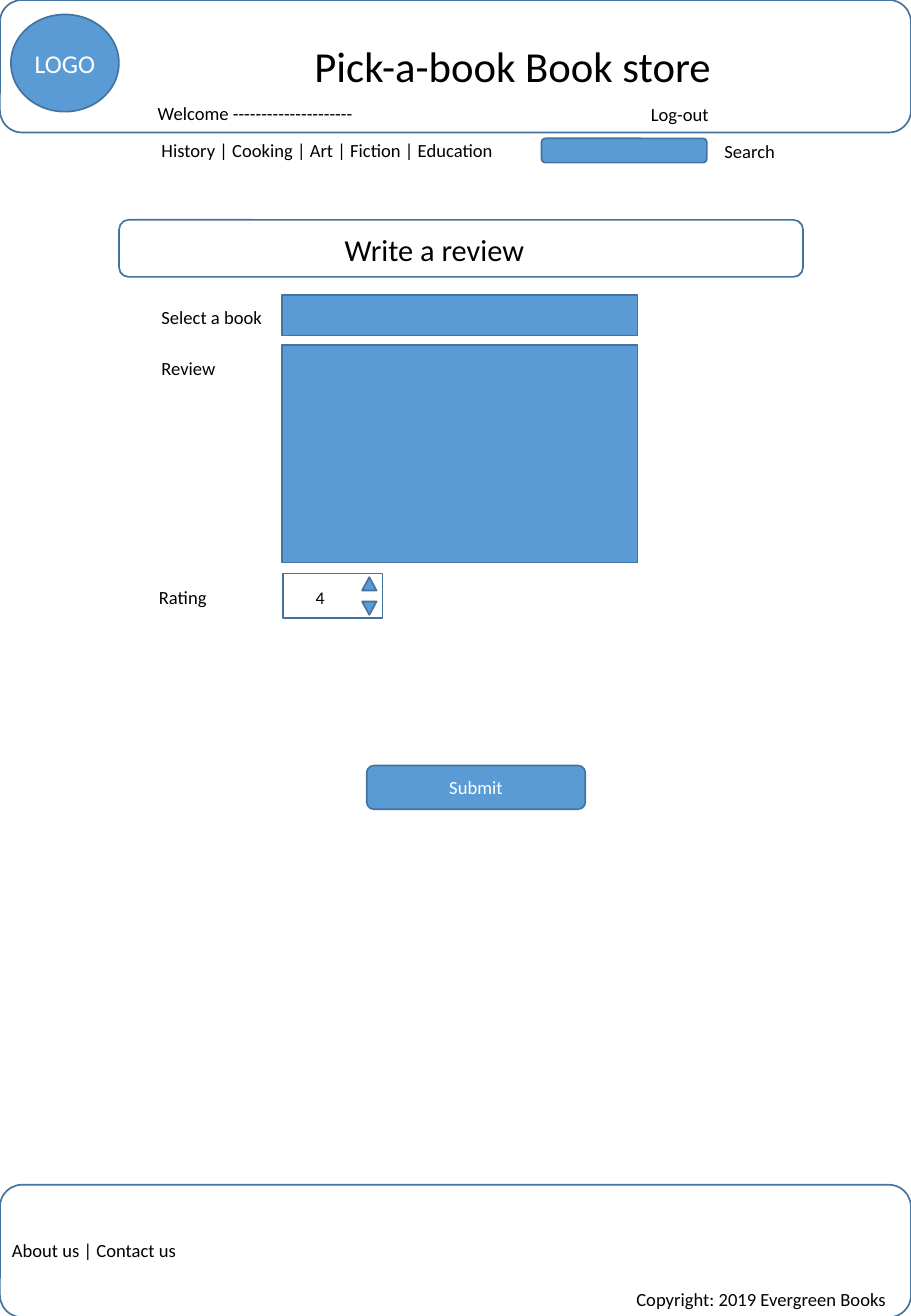
from pptx import Presentation
from pptx.dml.color import RGBColor
from pptx.enum.shapes import MSO_SHAPE as Shape
from pptx.enum.text import MSO_ANCHOR as Anchor, MSO_AUTO_SIZE as AutoSize, PP_ALIGN as Align
from pptx.util import Pt

PAGE_WIDTH, PAGE_HEIGHT = 540, 779.76
BAND_HEIGHT = 78.5
FIELD_LEFT, FIELD_WIDTH = 167, 211
LABEL_LEFT = 88.6


def colour(value):
    return RGBColor.from_string(value)


class Wireframe:
    font = "Calibri"
    size = 11
    ink = "000000"
    light = "FFFFFF"
    accent = "5B9BD5"
    outline = "43739E"

    def __init__(self, page):
        self.page = page

    def set_text(self, frame, text, size, ink):
        para = frame.paragraphs[0]
        para.text = text
        para.font.name = self.font
        para.font.size = Pt(size)
        para.font.color.rgb = colour(ink)
        return para

    def shape(self, kind, left, top, width, height, fill=None, rotation=0):
        box = self.page.shapes.add_shape(kind, Pt(left), Pt(top), Pt(width), Pt(height))
        box.shadow.inherit = False
        box.rotation = rotation
        box.line.color.rgb = colour(self.outline)
        box.line.width = Pt(1)
        if fill:
            box.fill.solid()
            box.fill.fore_color.rgb = colour(fill)
        else:
            box.fill.background()
        return box

    def badge(self, kind, text, left, top, width, height, size):
        frame = self.shape(kind, left, top, width, height, self.accent).text_frame
        frame.margin_left = frame.margin_right = Pt(2.9)
        frame.margin_top = frame.margin_bottom = Pt(1.4)
        frame.vertical_anchor = Anchor.MIDDLE
        self.set_text(frame, text, size, self.light).alignment = Align.CENTER

    def label(self, text, left, top, width, height=20.9, size=size):
        box = self.page.shapes.add_textbox(Pt(left), Pt(top), Pt(width), Pt(height))
        frame = box.text_frame
        frame.word_wrap = False
        frame.auto_size = AutoSize.SHAPE_TO_FIT_TEXT
        self.set_text(frame, text, size, self.ink)


def draw_header(view):
    view.badge(Shape.OVAL, "LOGO", 6.5, 8.6, 64, 57.6, 15.2)
    view.label("Pick-a-book Book store", 179.3, 20.2, 252.7, 38.2, 25.3)
    view.shape(Shape.ROUNDED_RECTANGLE, 321, 82, 98, 14.4, view.accent)
    view.label(" Search", 419.8, 79.2, 47.5)
    view.label("History | Cooking | Art | Fiction | Education", LABEL_LEFT, 78.5, 221.8)
    view.shape(Shape.ROUNDED_RECTANGLE, 0, 0, PAGE_WIDTH, BAND_HEIGHT)
    view.label("Log-out", 378.7, 57.6, 51.1)
    view.label("Welcome ---------------------", 86.4, 56.9, 131.8)


def draw_form(view):
    view.shape(Shape.ROUNDED_RECTANGLE, 70.6, 130.3, 405.4, 33.8)
    view.label("Write a review", 197.3, 133.2, 122.4, 28.8, 18)
    fields = [
        ("Select a book", 177.8, 74.2, 175, 23.8),
        ("Review", 208.1, 47.5, 204.5, 128.9),
    ]
    for text, label_top, label_width, top, height in fields:
        view.shape(Shape.RECTANGLE, FIELD_LEFT, top, FIELD_WIDTH, height, view.accent)
        view.label(text, LABEL_LEFT, label_top, label_width)
    view.shape(Shape.RECTANGLE, 167.8, 339.8, 59, 26.6)
    for top, rotation in [(342, 0), (356.4, 180)]:
        view.shape(Shape.ISOSCELES_TRIANGLE, 214.6, top, 8.6, 7.9, view.accent, rotation)
    view.label("4", 180, 344.2, 20.2, 20.2, 10.5)
    view.label("Rating", 87.1, 343.4, 43.2)
    view.badge(Shape.ROUNDED_RECTANGLE, "Submit", 217.4, 453.6, 129.6, 25.9, view.size)


def draw_footer(view):
    view.shape(Shape.ROUNDED_RECTANGLE, 0, 702, PAGE_WIDTH, BAND_HEIGHT)
    view.label("Copyright: 2019 Evergreen Books", 370.1, 759.6, 164.2)
    view.label("About us | Contact us", 0, 730.8, 112.3)


def main():
    deck = Presentation()
    deck.slide_width = Pt(PAGE_WIDTH)
    deck.slide_height = Pt(PAGE_HEIGHT)
    view = Wireframe(deck.slides.add_slide(deck.slide_layouts[6]))
    draw_header(view)
    draw_form(view)
    draw_footer(view)
    deck.save("out.pptx")


if __name__ == "__main__":
    main()
